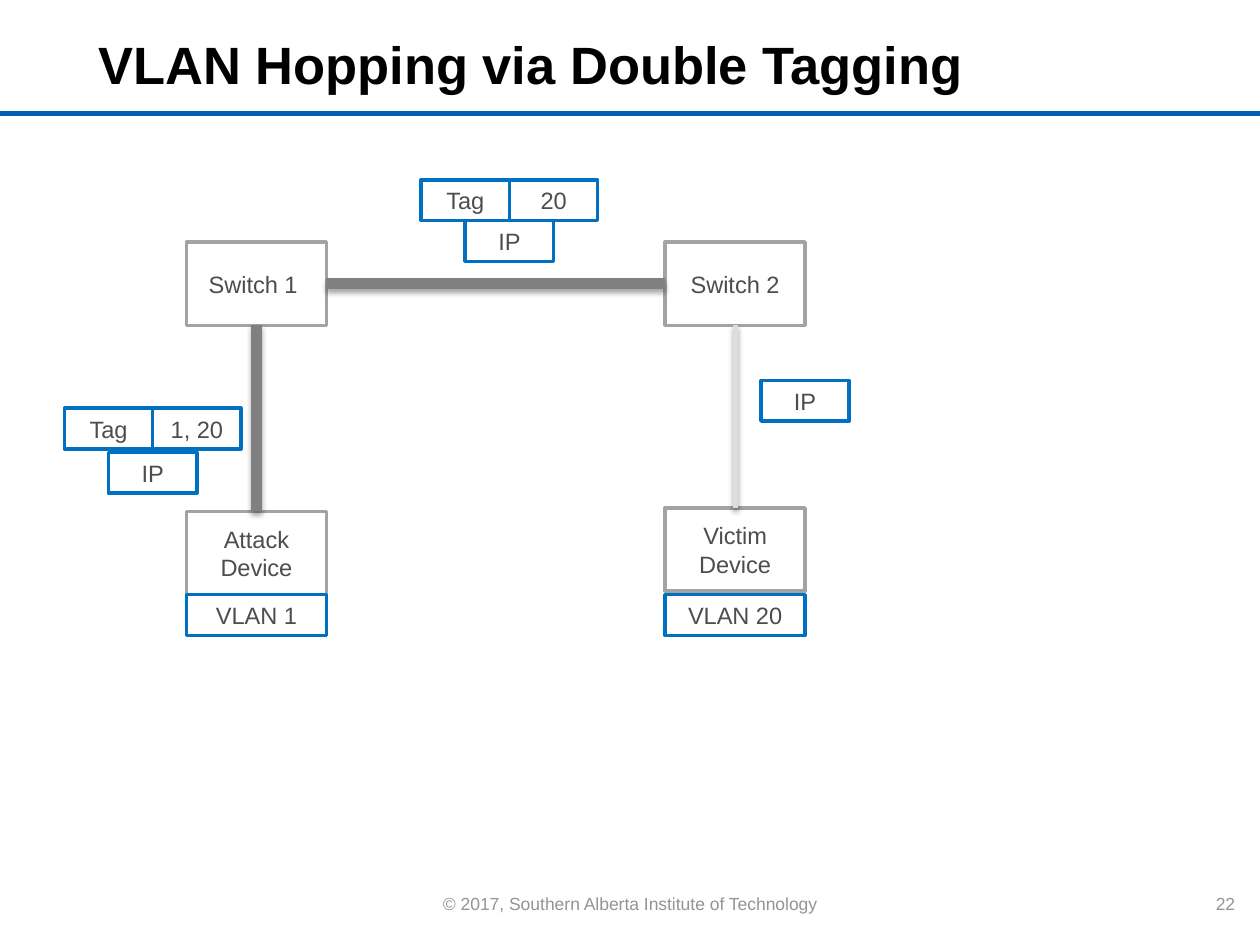
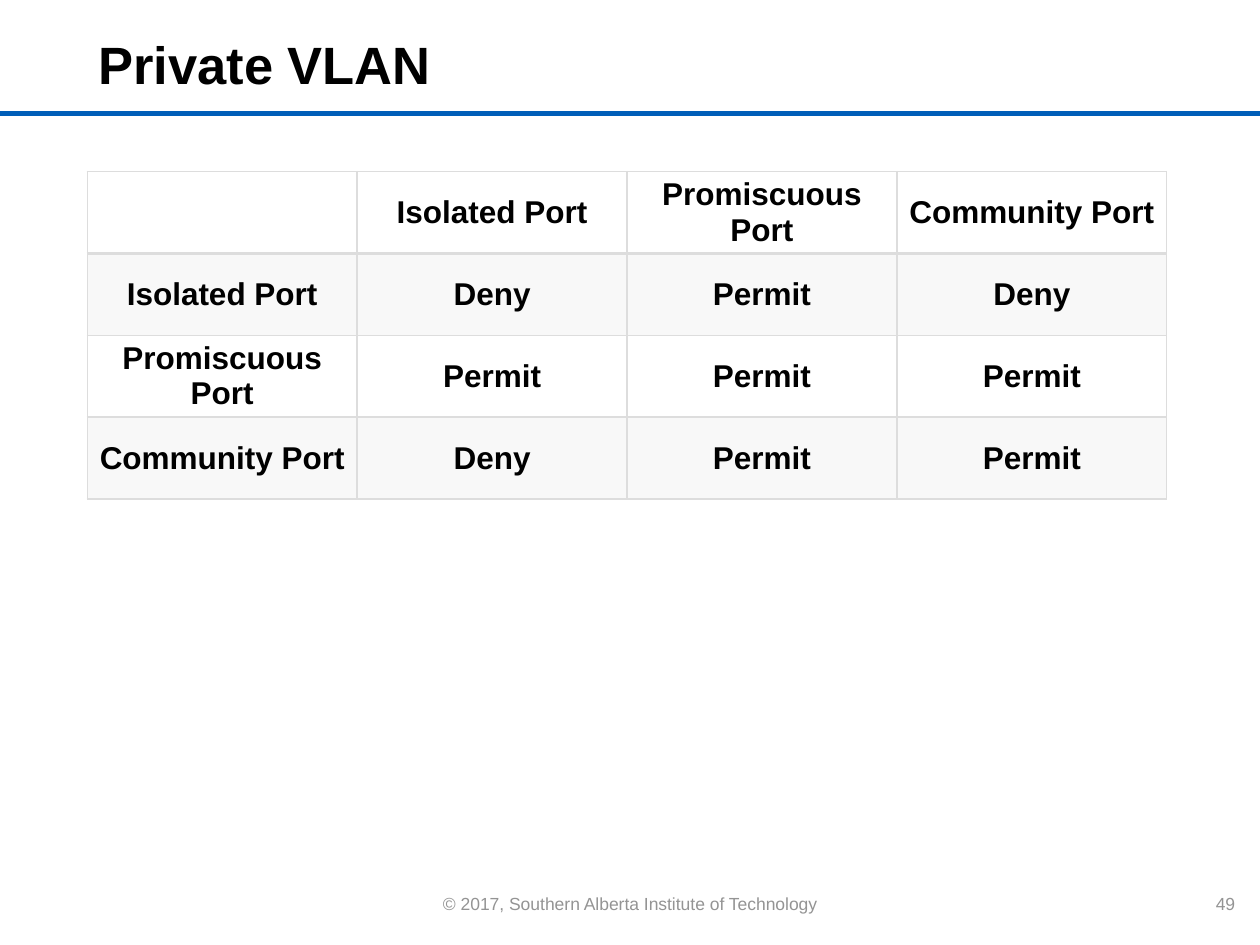
"""Build two slides on VLAN hopping and private VLANs."""
from lxml import etree
from pptx import Presentation
from pptx import util as u
from pptx.dml.color import RGBColor
from pptx.enum import shapes, text
from pptx.oxml import parse_xml
from pptx.oxml.ns import nsdecls, qn

FONT = "Arial"
BLACK, BODY, FOOTER = "000000", "4D4D4D", "949494"
BAND, FRAME, GREY = "005EB8", "0070C0", "A3A3A3"
TRUNK, PALE = "808080", "DDDDDD"
SLIDE_W, SLIDE_H = 25.4, 19.05
CENTER, RIGHT, LEFT = text.PP_ALIGN.CENTER, text.PP_ALIGN.RIGHT, text.PP_ALIGN.LEFT
NODE_W, NODE_H = 2.82, 1.68
TAG_W, TAG_H = 1.78, 0.82
TOP, BOTTOM, SIDE_L, SIDE_R = 0, 2, 1, 3


def rgb(color):
    """Turn a hex string into a colour."""
    return RGBColor.from_string(color)


def cm(*values):
    """Turn numbers into lengths in centimetres."""
    return [u.Cm(v) for v in values]


def write(tf, content, size=13.5, color=BODY, bold=False, align=CENTER):
    """Fill a text frame, one paragraph for each line of the content."""
    tf.word_wrap = True
    tf.auto_size = text.MSO_AUTO_SIZE.NONE
    tf.vertical_anchor = text.MSO_ANCHOR.MIDDLE
    for i, line in enumerate(content.split("\n")):
        p = tf.paragraphs[0] if i == 0 else tf.add_paragraph()
        p.alignment = align
        r = p.add_run()
        r.text = line
        r.font.name, r.font.size, r.font.bold = FONT, u.Pt(size), bold
        r.font.color.rgb = rgb(color)


def add_box(s, box, content="", line=None, fill=None):
    """Add a rectangle with an optional outline, fill and text."""
    sp = s.shapes.add_shape(shapes.MSO_SHAPE.RECTANGLE, *cm(*box))
    sp.shadow.inherit = False
    if fill:
        sp.fill.solid()
        sp.fill.fore_color.rgb = rgb(fill)
    else:
        sp.fill.background()
    if line:
        sp.line.color.rgb, sp.line.width = rgb(line), u.Pt(2)
    else:
        sp.line.fill.background()
    if content:
        write(sp.text_frame, content)
    return sp


def add_link(s, start, start_site, end, end_site, color=TRUNK, width=6):
    """Join two nodes with a line that casts a soft shadow downwards."""
    cxn = s.shapes.add_connector(shapes.MSO_CONNECTOR.STRAIGHT, 0, 0, 0, 0)
    cxn.begin_connect(start, start_site)
    cxn.end_connect(end, end_site)
    cxn.line.color.rgb, cxn.line.width = rgb(color), u.Pt(width)
    cxn._element.spPr.append(parse_xml(
        f'<a:effectLst {nsdecls("a")}><a:outerShdw blurRad="39370" dist="22860" '
        f'dir="5400000" rotWithShape="0"><a:srgbClr val="{BLACK}">'
        '<a:alpha val="35000"/></a:srgbClr></a:outerShdw></a:effectLst>'))


def add_footer(s, box, content, align):
    """Add one small grey footer text."""
    tf = s.shapes.add_textbox(*cm(*box)).text_frame
    write(tf, content, size=10, color=FOOTER, align=align)


def add_slide(prs, title, number):
    """Add a slide with the shared band, footers and title."""
    s = prs.slides.add_slide(prs.slide_layouts[5])
    add_box(s, (0, 2.24, SLIDE_W, 0.1), fill=BAND)
    add_footer(s, (8.2, 17.86, 9, 0.69),
               "© 2017, Southern Alberta Institute of Technology", CENTER)
    add_footer(s, (24.13, 17.86, 1.02, 0.69), str(number), RIGHT)
    ph = s.shapes.title
    ph.left, ph.top, ph.width, ph.height = cm(1.73, 0.4, 18.59, 1.75)
    write(ph.text_frame, title, size=30, color=BLACK, bold=True, align=LEFT)
    return s


def add_node(s, left, top, content):
    """Add a grey network node."""
    return add_box(s, (left, top, NODE_W, NODE_H), content, GREY)


def add_packet(s, left, top, tag=None, gap=0.0):
    """Add an IP packet, centred under its tag header if it has one."""
    if tag:
        for i, content in enumerate(("Tag", tag)):
            add_box(s, (left + i * TAG_W, top, TAG_W, TAG_H), content, FRAME)
        left, top = left + TAG_W / 2, top + TAG_H + gap
    add_box(s, (left, top, TAG_W, TAG_H), "IP", FRAME)


def add_network(s, left, top):
    """Draw the double tagging network from its top left corner."""
    attack_x, victim_x, switch_y = left + 2.46, left + 12.11, top + 1.25
    attack = add_node(s, attack_x, top + 6.68, "Attack Device")
    victim = add_node(s, victim_x, top + 6.61, "Victim\nDevice")
    switch_1 = add_node(s, attack_x, switch_y, "Switch 1 ")
    switch_2 = add_node(s, victim_x, switch_y, "Switch 2")
    add_link(s, attack, TOP, switch_1, BOTTOM)
    add_link(s, switch_1, SIDE_R, switch_2, SIDE_L)
    add_link(s, switch_2, BOTTOM, victim, TOP, PALE, 3)
    add_packet(s, left, top + 4.6, "1, 20", gap=0.07)
    add_packet(s, left + 7.19, top, "20")
    add_packet(s, left + 14.04, top + 4.04)
    for x, vlan in ((attack_x, "VLAN 1"), (victim_x, "VLAN 20")):
        add_box(s, (x, top + 8.36, NODE_W, TAG_H), vlan, FRAME)


def style_cell(cell, row):
    """Set the borders, fill and insets of a table cell."""
    cell.margin_left = cell.margin_right = u.Cm(0.18)
    cell.margin_top = cell.margin_bottom = u.Cm(0.09)
    cell.vertical_anchor = text.MSO_ANCHOR.MIDDLE
    tcPr = cell._tc.get_or_add_tcPr()
    widths = {"L": 1, "R": 1, "T": 2 if row == 1 else 1, "B": 2 if row == 0 else 1}
    for side, width in widths.items():
        tcPr.append(parse_xml(
            f'<a:ln{side} {nsdecls("a")} w="{u.Pt(width)}"><a:solidFill>'
            f'<a:srgbClr val="{PALE}"/></a:solidFill></a:ln{side}>'))
    if row % 2:
        cell.fill.solid()
        cell.fill.fore_color.rgb = rgb(PALE)
        clr = tcPr.find(qn("a:solidFill")).find(qn("a:srgbClr"))
        etree.SubElement(clr, qn("a:alpha"), val="20000")
    else:
        cell.fill.background()


def add_port_table(s, left, top, col_w, row_h, rows):
    """Add the table of traffic allowed between port types."""
    n_rows, n_cols = len(rows), len(rows[0])
    tbl = s.shapes.add_table(
        n_rows, n_cols, *cm(left, top, col_w * n_cols, row_h * n_rows)).table
    for i, row in enumerate(rows):
        tbl.rows[i].height = u.Cm(row_h)
        for j, content in enumerate(row):
            tbl.columns[j].width = u.Cm(col_w)
            cell = tbl.cell(i, j)
            if content:
                write(cell.text_frame, content, size=18, color=BLACK, bold=True)
            style_cell(cell, i)


def main():
    """Build and save the presentation."""
    prs = Presentation()
    prs.slide_width, prs.slide_height = cm(SLIDE_W, SLIDE_H)
    add_network(add_slide(prs, "VLAN Hopping via Double Tagging", 22), 1.3, 3.63)
    ports = ["Isolated Port", "Promiscuous Port", "Community Port"]
    rules = [["Deny", "Permit", "Deny"],
             ["Permit", "Permit", "Permit"],
             ["Deny", "Permit", "Permit"]]
    rows = [["", *ports]] + [[port, *rule] for port, rule in zip(ports, rules)]
    add_port_table(add_slide(prs, "Private VLAN", 49), 1.76, 3.46, 5.44, 1.65, rows)
    prs.save("out.pptx")


if __name__ == "__main__":
    main()
